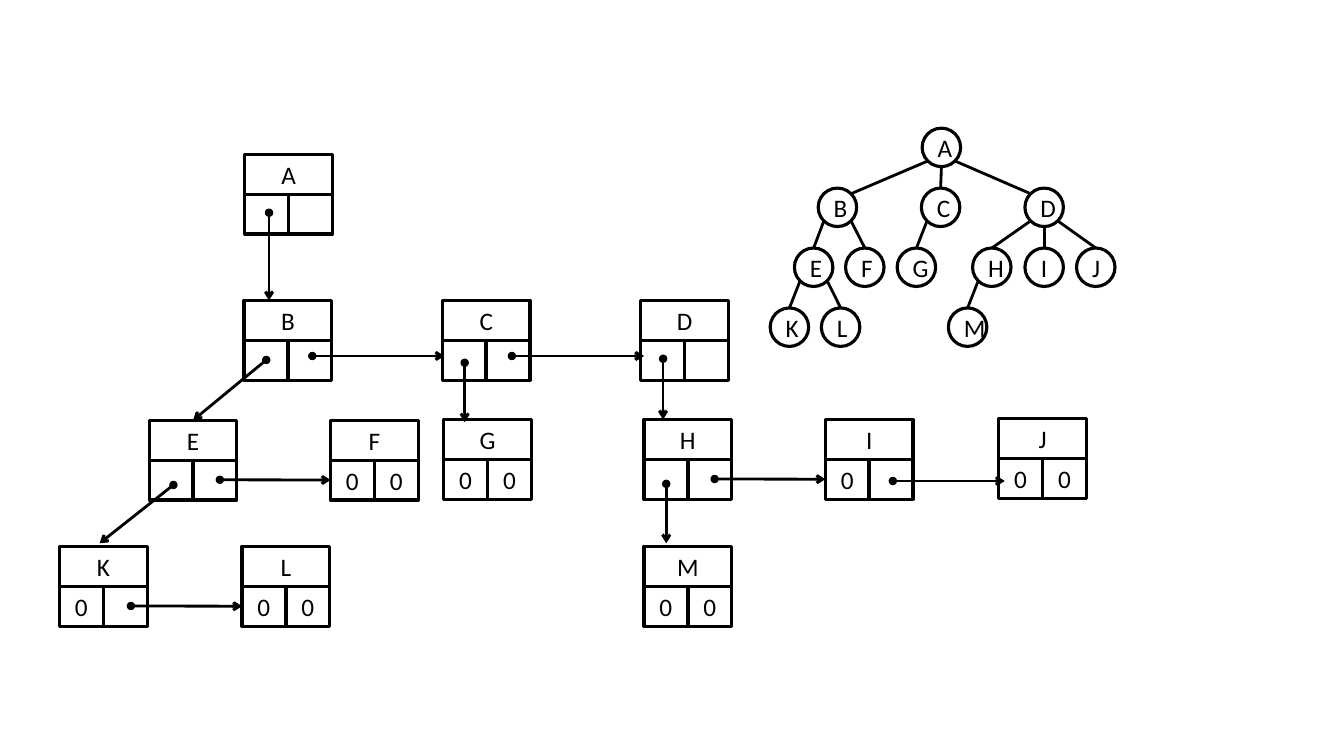
"""Draws a tree beside its first-child, next-sibling linked nodes."""
from math import sqrt

from lxml import etree
from pptx import Presentation
from pptx import util as u
from pptx.dml import color
from pptx.enum import shapes, text
from pptx.oxml import ns

INK, PAPER = "000000", "FFFFFF"
FONT = {"name": "Calibri", "size": u.Pt(18)}
DIAMETER = 0.97
LEVEL_TOP, LEVEL_STEP = 3.23, 1.51
CELL_WIDTH, CELL_HEIGHT = 1.1, 1.01
RIGHT_OFFSET, ROW_OFFSET = 1.11, 1.0

TREE_LEVELS = [
    {"A": 23.24},
    {"B": 20.62, "C": 23.22, "D": 25.83},
    {"E": 20.02, "F": 21.31, "G": 22.61, "H": 24.51, "I": 25.83, "J": 27.13},
    {"K": 19.41, "L": 20.7, "M": 23.9},
]
# Each edge: parent, child, side it leaves (-1 left, 0 middle, 1 right), side it meets.
TREE_EDGES = [
    ("A", "C", 0, 0), ("A", "D", 1, -1), ("A", "B", -1, 1),
    ("B", "E", -1, 0), ("B", "F", 1, 0), ("E", "K", -1, 0), ("E", "L", 1, 0),
    ("C", "G", -1, 0), ("D", "H", -1, 0), ("D", "J", 1, 0), ("D", "I", 0, 0),
    ("H", "M", -1, 0),
]
# Each node: left, top, text of its child cell and of its sibling cell.
LINKED_NODES = {
    "A": (6.17, 3.89, "", ""),
    "B": (6.15, 7.57, "", ""),
    "C": (11.15, 7.57, "", ""),
    "D": (16.15, 7.57, "", ""),
    "E": (3.76, 10.59, "", ""),
    "F": (8.33, 10.59, "0", "0"),
    "K": (1.5, 13.77, "0", ""),
    "L": (6.1, 13.77, "0", "0"),
    "G": (11.18, 10.57, "0", "0"),
    "H": (16.23, 10.57, "", ""),
    "I": (20.8, 10.57, "0", ""),
    "J": (25.17, 10.55, "0", "0"),
    "M": (16.23, 13.77, "0", "0"),
}
FREE_POINTERS = [
    ((6.78, 5.36), (6.78, 7.57)),
    ((7.87, 8.97), (11.2, 8.97)),
    ((12.9, 8.97), (16.23, 8.97)),
    ((22.5, 12.12), (25.32, 12.12)),
    ((4.37, 12.22), (2.51, 13.69)),
    ((11.71, 9.14), (11.71, 10.64)),
    ((16.71, 9.04), (16.71, 10.57)),
    ((16.79, 12.19), (16.79, 13.69)),
]
# Each joined pointer: start, target node, target cell, side of that cell.
JOINED_POINTERS = [
    ((5.54, 12.09), "F", "child", 1),
    ((3.3, 15.27), "L", "child", 1),
    ((18.01, 12.07), "I", "child", 1),
    ((6.71, 9.07), "E", "name", 0),
]


def paint(target, value):
    """Give a fill or a font a solid colour from a hex string."""
    if hasattr(target, "solid"):
        target.solid()
        target = target.fore_color
    else:
        target = target.color
    target.rgb = color.RGBColor.from_string(value)


def add_box(group, kind, left, top, width, height, label):
    """Add an outlined white shape with a centred label."""
    box = group.shapes.add_shape(kind, u.Cm(left), u.Cm(top), u.Cm(width), u.Cm(height))
    box.shadow.inherit = False
    paint(box.fill, PAPER)
    paint(box.line.fill, INK)
    box.line.width = u.Pt(2.25)
    if label:
        box.text_frame.vertical_anchor = text.MSO_ANCHOR.MIDDLE
        para = box.text_frame.paragraphs[0]
        para.alignment = text.PP_ALIGN.CENTER
        span = para.add_run()
        span.text = label
        for name, value in FONT.items():
            setattr(span.font, name, value)
        paint(span.font, INK)
    return box


def add_line(group, start, end, pointer=False):
    """Add a black line, with a dot and an arrowhead if it is a pointer."""
    points = [u.Cm(value) for value in (*start, *end)]
    line = group.shapes.add_connector(shapes.MSO_CONNECTOR.STRAIGHT, *points)
    paint(line.line.fill, INK)
    line.line.width = u.Pt(2)
    properties = line._element.spPr
    if pointer:
        outline = properties.find(ns.qn("a:ln"))
        for tag, kind in (("a:headEnd", "oval"), ("a:tailEnd", "arrow")):
            etree.SubElement(outline, ns.qn(tag)).set("type", kind)
    etree.SubElement(properties, ns.qn("a:effectLst"))
    return line


def rim_point(corner, side, direction):
    """Find the point on a circle's lower (1) or upper (-1) rim at a side."""
    radius = DIAMETER / 2
    reach = radius / sqrt(2) if side else radius
    return corner[0] + radius + side * reach, corner[1] + radius + direction * reach


def add_tree(page):
    """Add the tree of circles and its edges."""
    group = page.shapes.add_group_shape()
    corners, circles = {}, {}
    for level, row in enumerate(TREE_LEVELS):
        for label, left in row.items():
            corners[label] = left, LEVEL_TOP + level * LEVEL_STEP
            circles[label] = add_box(group, shapes.MSO_SHAPE.OVAL, *corners[label],
                                     DIAMETER, DIAMETER, label)
    for parent, child, leave, meet in TREE_EDGES:
        edge = add_line(group, rim_point(corners[parent], leave, 1),
                        rim_point(corners[child], meet, -1))
        if meet == 0:
            edge.end_connect(circles[child], 0)


def add_linked_node(group, label, left, top, child, sibling):
    """Add a name cell above a child cell and a sibling cell."""
    kind = shapes.MSO_SHAPE.RECTANGLE
    low = top + ROW_OFFSET
    return {
        "child": add_box(group, kind, left, low, CELL_WIDTH, CELL_HEIGHT, child),
        "sibling": add_box(group, kind, left + RIGHT_OFFSET, low,
                           CELL_WIDTH, CELL_HEIGHT, sibling),
        "name": add_box(group, kind, left, top, RIGHT_OFFSET + CELL_WIDTH,
                        CELL_HEIGHT, label),
    }


def add_linked_nodes(page):
    """Add the linked nodes and their pointers."""
    group = page.shapes.add_group_shape()
    nodes = {label: add_linked_node(group, label, *node)
             for label, node in LINKED_NODES.items()}
    for start, end in FREE_POINTERS:
        add_line(group, start, end, pointer=True)
    for start, label, cell, side in JOINED_POINTERS:
        pointer = add_line(group, start, start, pointer=True)
        pointer.end_connect(nodes[label][cell], side)


def main():
    """Build and save the slide."""
    deck = Presentation()
    deck.slide_width, deck.slide_height = u.Cm(33.87), u.Cm(19.05)
    page = deck.slides.add_slide(deck.slide_layouts[6])
    add_tree(page)
    add_linked_nodes(page)
    deck.save("out.pptx")


if __name__ == "__main__":
    main()
